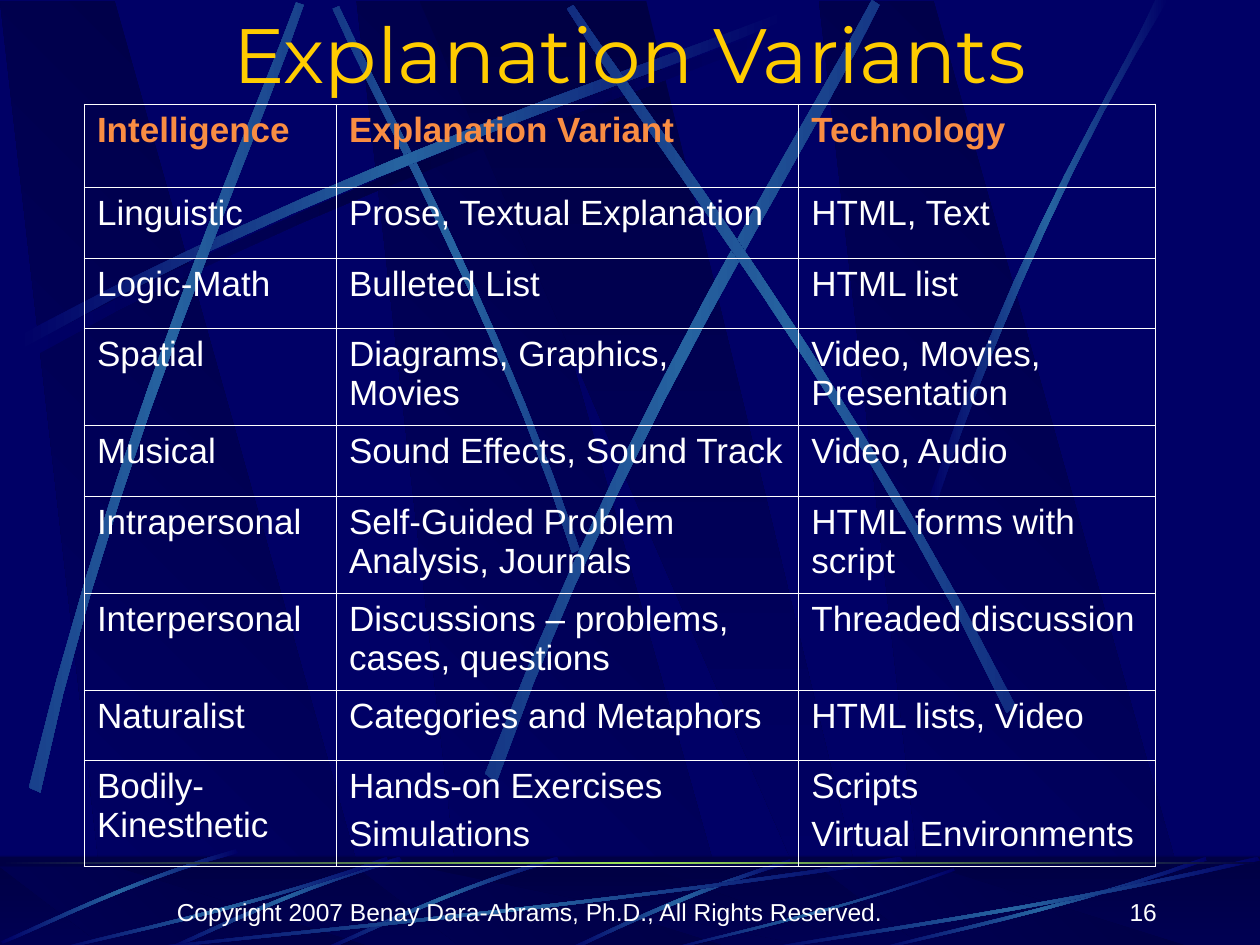
import dataclasses
import math

import lxml.etree
import pptx
import pptx.dml.color
import pptx.enum.shapes
import pptx.enum.text
import pptx.oxml
import pptx.oxml.ns
import pptx.util

Inches = pptx.util.Inches
Align = pptx.enum.text.PP_ALIGN
Anchor = pptx.enum.text.MSO_ANCHOR


@dataclasses.dataclass(frozen=True)
class Theme:
    night: str = "000066"
    shade: str = "000044"
    beam: str = "2663A0"
    horizon: str = "9CE157"
    title: str = "FFCC00"
    header: str = "F98D43"
    text: str = "FFFFFF"
    title_font: str = "Montserrat"
    body_font: str = "Arial"
    title_size: int = 44
    table_size: int = 20
    footer_size: int = 14
    outer_border: float = 1.08
    inner_border: float = 0.45


THEME = Theme()
FADE = (THEME.shade, THEME.night)
BEAM = (THEME.night, THEME.beam, THEME.night)
SHADOW = (THEME.night, THEME.shade, THEME.night)
HORIZON = (THEME.shade, THEME.horizon, THEME.shade)

# Bands: corners as x in inches and y as a share of the band height
SLANTED_BAND = [(0.86, 1), (3.02, 1), (0.91, 0), (0, 0)]
WIDE_BAND = [(3.33, 0), (6.58, 1), (6.94, 1), (5.13, 0)]
BAND_OFFSETS = (2.83, 0, 6.5)

# Beams: colours, rotation, then start, two controls and end of each long side
LONG_BEAM = [(0.14, 2.67), (2.78, 1.25), (5.18, 0.51), (6.2, 0.1),
             (6.23, 0.16), (5.22, 0.61), (2.48, 1.43), (0.17, 2.77)]
SKY_BEAMS = [
    (SHADOW, 0, [(x + 0.06, y + 0.08) for x, y in LONG_BEAM]),
    (BEAM, 45, [(4.6, 4.36), (3.91, 2.34), (3.02, 0.77), (2.69, 0.05),
                (2.64, 0.07), (2.95, 0.79), (3.98, 2.58), (4.54, 4.39)]),
    (BEAM, 0, LONG_BEAM),
    (BEAM, 311.7, [(0.23, 6.25), (0.93, 3.34), (1.97, 1.05), (2.35, 0.02),
                   (2.41, 0.04), (2.07, 1.08), (0.86, 3.68), (0.32, 6.29)]),
    (BEAM, 321.6, [(3.85, 6.14), (4.98, 3.2), (6.38, 1.02), (6.92, 0),
                   (6.98, 0.04), (6.49, 1.08), (4.86, 3.55), (3.94, 6.21)]),
    (BEAM, 34.8, [(8.06, 5.6), (6.7, 2.93), (5.16, 0.95), (4.55, 0.04),
                  (4.5, 0.07), (5.07, 1.01), (6.85, 3.25), (7.99, 5.66)]),
    (BEAM, 0, [(7.38, 3.93), (8.14, 1.73), (8.88, 0.66), (9.17, 0),
               (9.27, 0), (8.36, 1.45), (7.69, 3.22), (7.44, 3.97)]),
]
TILTED_STREAK = [(3.17, 6.8), (2.3, 7.05), (1.62, 7.4), (1.31, 7.53),
                 (1.32, 7.55), (1.63, 7.43), (2.4, 7.03), (3.19, 6.83)]
FLAT_STREAK = [(3.08, 6.83), (1.93, 7.23), (0.88, 7.44), (0.43, 7.55),
               (0.42, 7.54), (0.86, 7.41), (2.06, 7.18), (3.07, 6.8)]
FLOOR_BEAMS = [
    (BEAM, 0, [(6.27, 6.82), (5.37, 7.09), (4.77, 7.42), (4.48, 7.54),
               (4.53, 7.55), (4.9, 7.37), (5.71, 7), (6.28, 6.85)]),
    (BEAM, 314.9, [(x + 1.25, y) for x, y in TILTED_STREAK]),
    (BEAM, 314.9, TILTED_STREAK),
    (BEAM, 314.9, [(x - 1.3, y - 0.06) for x, y in TILTED_STREAK]),
    (BEAM, 0, [(7.17, 6.83), (4.49, 7.23), (2.06, 7.44), (1.03, 7.55),
               (1, 7.54), (2.02, 7.41), (4.8, 7.18), (7.14, 6.8)]),
    (BEAM, 0, FLAT_STREAK),
    (BEAM, 0, [(7.58, 6.91), (6.58, 7.26), (5.67, 7.45), (5.28, 7.55),
               (5.27, 7.54), (5.65, 7.43), (6.69, 7.22), (7.57, 6.89)]),
    (BEAM, 0, [(x + 6.5, y) for x, y in FLAT_STREAK]),
    (BEAM, 0, [(10, 6.83), (8.27, 7.23), (6.69, 7.44), (6.02, 7.55),
               (6, 7.54), (6.66, 7.41), (8.46, 7.18), (9.98, 6.8)]),
]

COLUMN_WIDTHS = (2, 3.67, 2.83)
ROW_HEIGHTS = (0.66, 0.56, 0.56, 0.77, 0.56, 0.77, 0.77, 0.56, 0.84)
VARIANTS = [
    ("Intelligence", "Explanation Variant", "Technology"),
    ("Linguistic", "Prose, Textual Explanation", "HTML, Text"),
    ("Logic-Math", "Bulleted List", "HTML list"),
    ("Spatial", "Diagrams, Graphics, Movies", "Video, Movies, Presentation"),
    ("Musical", "Sound Effects, Sound Track", "Video, Audio"),
    ("Intrapersonal", "Self-Guided Problem Analysis, Journals", "HTML forms with script"),
    ("Interpersonal", "Discussions – problems, cases, questions", "Threaded discussion"),
    ("Naturalist", "Categories and Metaphors", "HTML lists, Video"),
    ("Bodily-Kinesthetic", "Hands-on Exercises\nSimulations", "Scripts\nVirtual Environments"),
]


def rgb(color):
    return pptx.dml.color.RGBColor.from_string(color)


def paint(shape, colors, angle):
    """Fill with evenly spaced colour stops that keep their slide direction."""
    shape.shadow.inherit = False
    shape.line.fill.background()
    shape.fill.gradient()
    gradient = shape.element.spPr.find(pptx.oxml.ns.qn("a:gradFill"))
    stops = "".join(
        f'<a:gs pos="{100000 * i // (len(colors) - 1)}"><a:srgbClr val="{color}"/></a:gs>'
        for i, color in enumerate(colors))
    gradient.getparent().replace(gradient, pptx.oxml.parse_xml(
        f'<a:gradFill {pptx.oxml.ns.nsdecls("a")} rotWithShape="0"><a:gsLst>{stops}</a:gsLst>'
        f'<a:lin ang="{angle * 60000}" scaled="0"/></a:gradFill>'))


def rotate(point, degrees):
    x, y = point
    cos, sin = math.cos(math.radians(degrees)), math.sin(math.radians(degrees))
    return x * cos - y * sin, x * sin + y * cos


def curve(start, first, second, end, steps=10):
    for t in (i / steps for i in range(steps + 1)):
        weights = ((1 - t) ** 3, 3 * t * (1 - t) ** 2, 3 * t * t * (1 - t), t ** 3)
        yield tuple(sum(w * p[axis] for w, p in zip(weights, (start, first, second, end)))
                    for axis in (0, 1))


def add_outline(slide, points, colors, angle, rotation=0):
    corners = [tuple(Inches(v) for v in rotate(p, -rotation)) for p in points]
    builder = slide.shapes.build_freeform(*corners[0])
    builder.add_line_segments(corners[1:], close=True)
    outline = builder.convert_to_shape()
    center = (outline.left + outline.width / 2, outline.top + outline.height / 2)
    x, y = rotate(center, rotation)
    outline.left += round(x - center[0])
    outline.top += round(y - center[1])
    outline.rotation = rotation
    paint(outline, colors, angle)


def add_bands(slide, top, height):
    bands = [([(x + dx, y) for x, y in SLANTED_BAND], 135) for dx in BAND_OFFSETS]
    for corners, angle in bands + [(WIDE_BAND, 90)]:
        add_outline(slide, [(x, top + y * height) for x, y in corners], FADE, angle)


def add_beams(slide, beams):
    for colors, rotation, sides in beams:
        points = [*curve(*sides[:4]), *curve(*sides[4:])]
        add_outline(slide, points, colors, 180, rotation)


def add_strip(slide, top, height, colors, angle):
    strip = slide.shapes.add_shape(pptx.enum.shapes.MSO_SHAPE.RECTANGLE, 0,
                                   Inches(top), Inches(10), Inches(height))
    paint(strip, colors, angle)
    return strip


def style(paragraph, size, color, font=THEME.body_font, bold=False):
    paragraph.font.size = pptx.util.Pt(size)
    paragraph.font.name = font
    paragraph.font.bold = bold
    paragraph.font.color.rgb = rgb(color)


def add_label(slide, box, text, align, anchor, size, color, font=THEME.body_font):
    frame = slide.shapes.add_textbox(*map(Inches, box)).text_frame
    frame.word_wrap = True
    frame.vertical_anchor = anchor
    frame.text = text
    frame.paragraphs[0].alignment = align
    style(frame.paragraphs[0], size, color, font)


def set_borders(cell, outer_sides):
    for side in "LRTB":
        width = THEME.outer_border if side in outer_sides else THEME.inner_border
        cell._tc.get_or_add_tcPr().append(pptx.oxml.parse_xml(
            f'<a:ln{side} {pptx.oxml.ns.nsdecls("a")} w="{pptx.util.Pt(width)}"><a:solidFill>'
            f'<a:srgbClr val="{THEME.text}"/></a:solidFill></a:ln{side}>'))


def add_variants_table(slide):
    table = slide.shapes.add_table(
        len(ROW_HEIGHTS), len(COLUMN_WIDTHS), Inches(0.67), Inches(0.83),
        Inches(sum(COLUMN_WIDTHS)), Inches(sum(ROW_HEIGHTS))).table
    table.first_row = table.horz_banding = False
    for column, width in zip(table.columns, COLUMN_WIDTHS):
        column.width = Inches(width)
    for r, (texts, height) in enumerate(zip(VARIANTS, ROW_HEIGHTS)):
        table.rows[r].height = Inches(height)
        for c, text in enumerate(texts):
            cell = table.cell(r, c)
            cell.text = text
            edges = {"T": r == 0, "B": r == len(VARIANTS) - 1,
                     "L": c == 0, "R": c == len(texts) - 1}
            set_borders(cell, [side for side, outer in edges.items() if outer])
            cell.fill.background()
            for paragraph in cell.text_frame.paragraphs:
                paragraph.space_before = pptx.util.Pt(5)
                style(paragraph, THEME.table_size,
                      THEME.text if r else THEME.header, bold=r == 0)


def main():
    deck = pptx.Presentation()
    deck.slide_width, deck.slide_height = Inches(10), Inches(7.5)
    slide = deck.slides.add_slide(deck.slide_layouts[6])
    slide.background.fill.solid()
    slide.background.fill.fore_color.rgb = rgb(THEME.night)

    # Sky with light beams
    add_bands(slide, 0.01, 7.51)
    add_beams(slide, SKY_BEAMS)

    # Floor, darkened by a half-transparent veil, and horizon line
    add_strip(slide, 6.8, 0.75, FADE, 90)
    add_bands(slide, 6.88, 0.66)
    veil = add_strip(slide, 6.79, 0.75, FADE, 90)
    veil.fill.solid()
    veil.fill.fore_color.rgb = rgb(THEME.shade)
    veil_color = veil.element.spPr.find(".//" + pptx.oxml.ns.qn("a:srgbClr"))
    lxml.etree.SubElement(veil_color, pptx.oxml.ns.qn("a:alpha"), val="50000")
    add_beams(slide, FLOOR_BEAMS)
    add_strip(slide, 6.84, 0.02, HORIZON, 180)

    # Title, table and footer
    add_label(slide, (0.75, 0, 8.5, 0.84), "Explanation Variants", Align.CENTER,
              Anchor.MIDDLE, THEME.title_size, THEME.title, THEME.title_font)
    add_variants_table(slide)
    footer = (Anchor.BOTTOM, THEME.footer_size, THEME.text)
    add_label(slide, (0.83, 6.9, 6.75, 0.5),
              "Copyright 2007 Benay Dara-Abrams, Ph.D., All Rights Reserved.",
              Align.CENTER, *footer)
    add_label(slide, (8.17, 6.9, 1.11, 0.5), "16", Align.RIGHT, *footer)
    deck.save("out.pptx")


if __name__ == "__main__":
    main()
